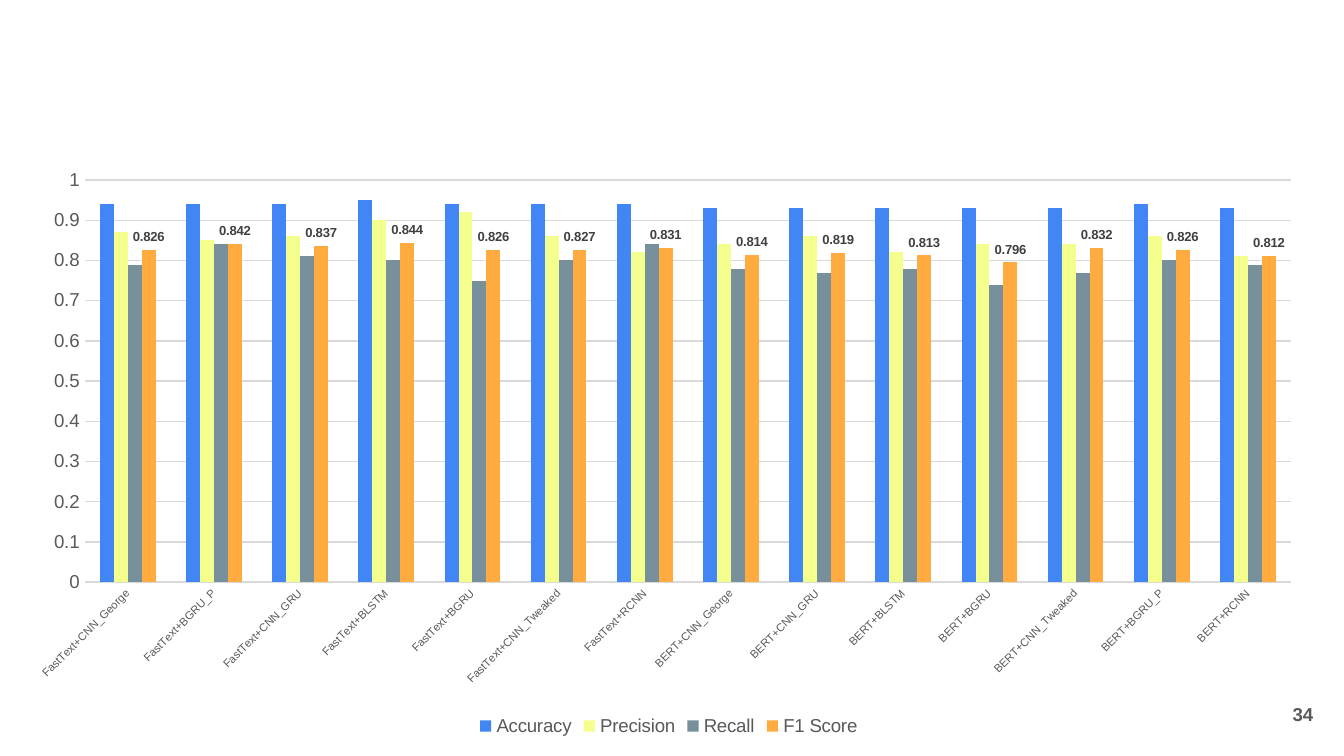
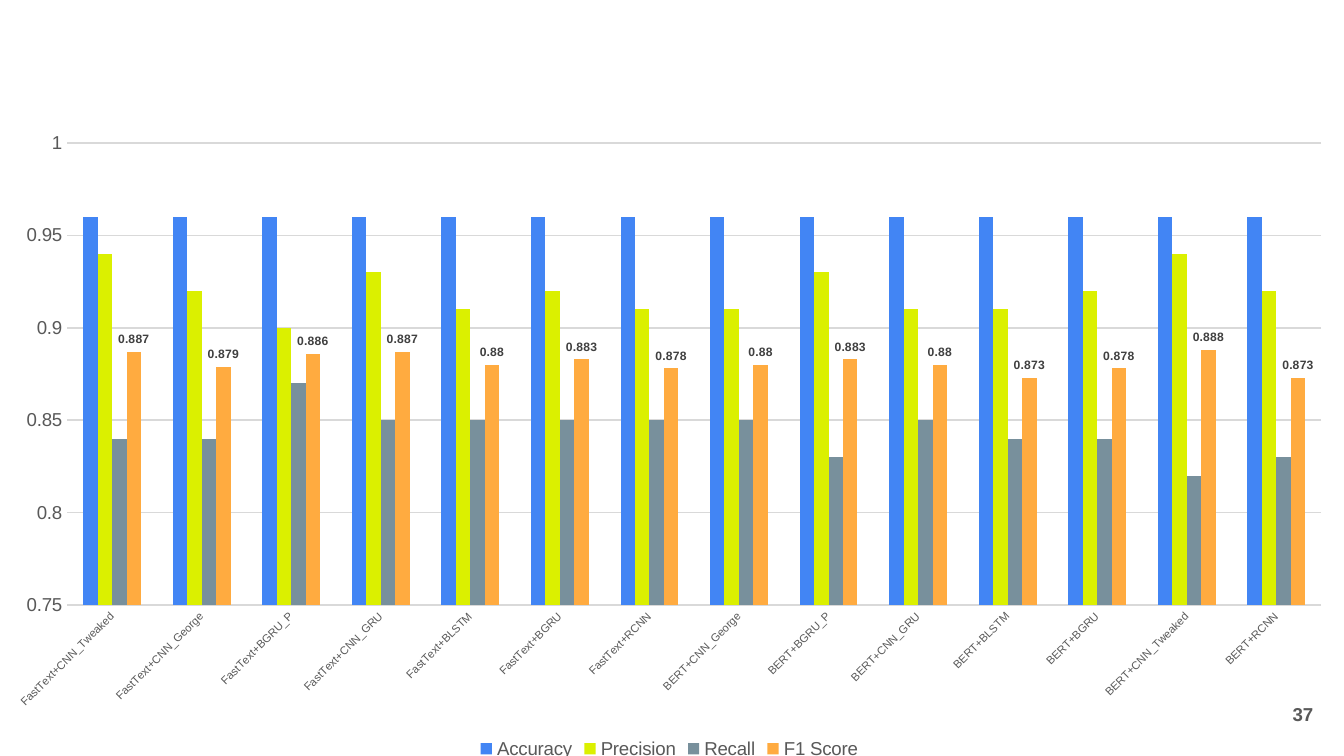
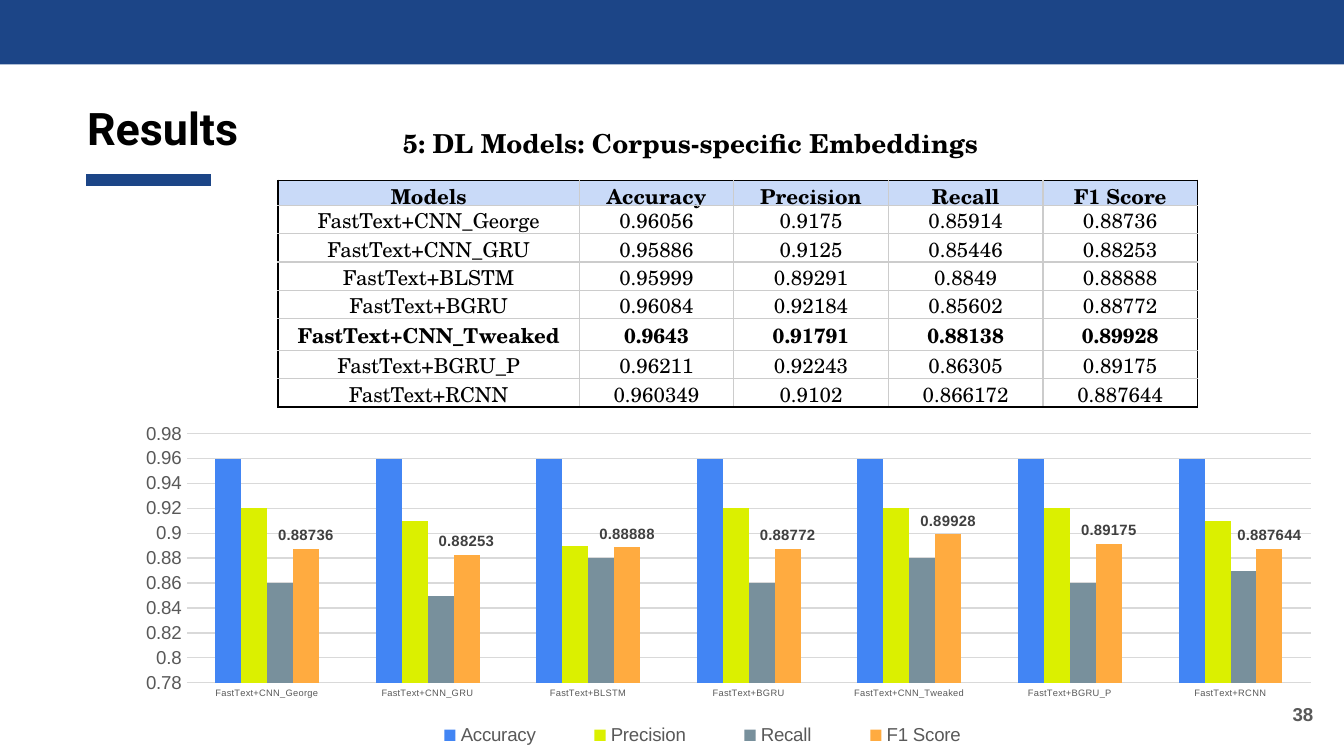
from lxml import etree
from pptx import Presentation
from pptx.chart.data import CategoryChartData
from pptx.dml.color import RGBColor
from pptx.enum import chart as ch, shapes, text
from pptx.oxml import parse_xml
from pptx.oxml.ns import nsdecls, qn
from pptx.util import Inches, Pt

HUES = {
    "navy": "1C4587", "head": "C9DAF8", "white": "FFFFFF", "black": "000000",
    "grid": "D9D9D9", "edge": "CCCCCC", "gray": "595959", "label": "404040",
    "blue": "4285F4", "pale": "F5FF8D", "lime": "DBF000", "slate": "78909C",
    "orange": "FFAB40",
}
SANS, TITLE, SERIF = "Arial", "Roboto", "TeX Gyre Schola"
SCORES = ["Accuracy", "Precision", "Recall", "F1 Score"]

# Slide 1: scores by model
MIXED = {
    "FastText+CNN_George": (0.94, 0.87, 0.79, 0.826),
    "FastText+BGRU_P": (0.94, 0.85, 0.84, 0.842),
    "FastText+CNN_GRU": (0.94, 0.86, 0.81, 0.837),
    "FastText+BLSTM": (0.95, 0.9, 0.8, 0.844),
    "FastText+BGRU": (0.94, 0.92, 0.75, 0.826),
    "FastText+CNN_Tweaked": (0.94, 0.86, 0.8, 0.827),
    "FastText+RCNN": (0.94, 0.82, 0.84, 0.831),
    "BERT+CNN_George": (0.93, 0.84, 0.78, 0.814),
    "BERT+CNN_GRU": (0.93, 0.86, 0.77, 0.819),
    "BERT+BLSTM": (0.93, 0.82, 0.78, 0.813),
    "BERT+BGRU": (0.93, 0.84, 0.74, 0.796),
    "BERT+CNN_Tweaked": (0.93, 0.84, 0.77, 0.832),
    "BERT+BGRU_P": (0.94, 0.86, 0.8, 0.826),
    "BERT+RCNN": (0.93, 0.81, 0.79, 0.812),
}

# Slide 2: scores by model
TUNED = {
    "FastText+CNN_Tweaked": (0.96, 0.94, 0.84, 0.887),
    "FastText+CNN_George": (0.96, 0.92, 0.84, 0.879),
    "FastText+BGRU_P": (0.96, 0.9, 0.87, 0.886),
    "FastText+CNN_GRU": (0.96, 0.93, 0.85, 0.887),
    "FastText+BLSTM": (0.96, 0.91, 0.85, 0.88),
    "FastText+BGRU": (0.96, 0.92, 0.85, 0.883),
    "FastText+RCNN": (0.96, 0.91, 0.85, 0.878),
    "BERT+CNN_George": (0.96, 0.91, 0.85, 0.88),
    "BERT+BGRU_P": (0.96, 0.93, 0.83, 0.883),
    "BERT+CNN_GRU": (0.96, 0.91, 0.85, 0.88),
    "BERT+BLSTM": (0.96, 0.91, 0.84, 0.873),
    "BERT+BGRU": (0.96, 0.92, 0.84, 0.878),
    "BERT+CNN_Tweaked": (0.96, 0.94, 0.82, 0.888),
    "BERT+RCNN": (0.96, 0.92, 0.83, 0.873),
}

# Slide 3: one source for both table and chart
CORPUS = {
    "FastText+CNN_George": (0.96056, 0.9175, 0.85914, 0.88736),
    "FastText+CNN_GRU": (0.95886, 0.9125, 0.85446, 0.88253),
    "FastText+BLSTM": (0.95999, 0.89291, 0.8849, 0.88888),
    "FastText+BGRU": (0.96084, 0.92184, 0.85602, 0.88772),
    "FastText+CNN_Tweaked": (0.9643, 0.91791, 0.88138, 0.89928),
    "FastText+BGRU_P": (0.96211, 0.92243, 0.86305, 0.89175),
    "FastText+RCNN": (0.960349, 0.9102, 0.866172, 0.887644),
}
BEST = "FastText+CNN_Tweaked"


def hue(name):
    return RGBColor.from_string(HUES[name])


def style(font, size, color="gray", bold=False, face=SANS):
    font.name, font.size, font.bold = face, Pt(size), bold
    font.color.rgb = hue(color)


def write(frame, words, align=text.PP_ALIGN.LEFT, anchor=text.MSO_ANCHOR.TOP,
          inset=(0.1, 0.1), **look):
    frame.word_wrap = True
    frame.vertical_anchor = anchor
    frame.margin_left = frame.margin_right = Inches(inset[0])
    frame.margin_top = frame.margin_bottom = Inches(inset[1])
    para = frame.paragraphs[0]
    para.alignment = align
    run = para.add_run()
    run.text = words
    style(run.font, **look)


def label(slide, box, words, **look):
    frame = slide.shapes.add_textbox(*map(Inches, box)).text_frame
    write(frame, words, **look)
    return frame


def number(slide, value):
    label(slide, (9.27, 5.1, 0.6, 0.43), str(value), size=10, bold=True,
          align=text.PP_ALIGN.RIGHT, anchor=text.MSO_ANCHOR.MIDDLE)


def layout(parent, index, box, inner=False):
    """Fix the place of a chart part as shares of the chart."""
    for old in parent.findall(qn("c:layout")):
        parent.remove(old)
    target = '<c:layoutTarget val="inner"/>' if inner else ""
    modes = "".join(f'<c:{k}Mode val="edge"/>' for k in "xy")
    sizes = "".join(f'<c:{k} val="{v}"/>' for k, v in zip("xywh", box))
    parent.insert(index, parse_xml(
        f'<c:layout {nsdecls("c")}><c:manualLayout>{target}{modes}{sizes}'
        "</c:manualLayout></c:layout>"))


def bars(slide, box, rows, plot, scale, tint="lime", small=6, tag=7,
         turn=None, key=None):
    data = CategoryChartData()
    data.categories = list(rows)
    for name, vals in zip(SCORES, zip(*rows.values())):
        # Only the labelled series keeps its full digits
        data.add_series(name, vals if name == SCORES[-1]
                        else [round(v, 2) for v in vals])
    chart = slide.shapes.add_chart(
        ch.XL_CHART_TYPE.COLUMN_CLUSTERED, *map(Inches, box), data).chart
    style(chart.font, 10, "black")
    chart.has_title = False
    layout(chart._chartSpace.chart.plotArea, 0, plot, inner=True)

    # Columns
    group = chart.plots[0]
    group.gap_width, group.overlap, group.vary_by_categories = 219, 0, False
    for series, color in zip(group.series, ("blue", tint, "slate", "orange")):
        series.format.fill.solid()
        series.format.fill.fore_color.rgb = hue(color)
        series.invert_if_negative = False
    tags = group.series[-1].data_labels
    tags.show_value = True
    tags.position = ch.XL_LABEL_POSITION.OUTSIDE_END
    style(tags.font, tag, "label", True)

    # Axes
    cat, val = chart.category_axis, chart.value_axis
    for axis, size in ((cat, small), (val, 10)):
        axis.major_tick_mark = axis.minor_tick_mark = ch.XL_TICK_MARK.NONE
        style(axis.tick_labels.font, size)
    val.minimum_scale, val.maximum_scale, val.major_unit = scale
    val.format.line.fill.background()
    for line in (cat.format.line, val.major_gridlines.format.line):
        line.color.rgb, line.width = hue("grid"), Pt(0.75)
    if turn:
        body = cat._element.find(qn("c:txPr")).find(qn("a:bodyPr"))
        body.set("rot", str(turn * 60000))
        body.set("vert", "horz")

    # Legend
    chart.has_legend = True
    chart.legend.position = ch.XL_LEGEND_POSITION.BOTTOM
    chart.legend.include_in_layout = False
    style(chart.legend.font, 10)
    if key:
        layout(chart.legend._element, 1, key)


def edge(cell, side, color, width):
    line = etree.SubElement(cell._tc.get_or_add_tcPr(), qn(f"a:ln{side}"),
                            w=str(Pt(width)))
    fill = etree.SubElement(line, qn("a:solidFill"))
    etree.SubElement(fill, qn("a:srgbClr"), val=HUES[color])


def paint(cell, color):
    if color:
        cell.fill.solid()
        cell.fill.fore_color.rgb = hue(color)
    else:
        cell.fill.background()


def grid(slide, left, top, rows):
    lines = [["Models", *SCORES]]
    lines += [[name, *map(str, vals)] for name, vals in rows.items()]
    wide = [2.24] + [1.15] * len(SCORES)
    high = [0.19] + [0.24 if name == BEST else 0.21 for name in rows]
    table = slide.shapes.add_table(
        len(high), len(wide),
        *map(Inches, (left, top, sum(wide), sum(high)))).table
    table.first_row = table.horz_banding = False
    for col, width in zip(table.columns, wide):
        col.width = Inches(width)
    for r, line in enumerate(lines):
        table.rows[r].height = Inches(high[r])
        last = r == len(high) - 1
        for c, words in enumerate(line):
            cell = table.cell(r, c)
            outer = {"L": c == 0, "R": c == len(wide) - 1,
                     "T": r == 0, "B": last}
            for side, out in outer.items():
                edge(cell, side, "black" if out else "edge",
                     1 if out and side == "L" else 0.75)
            paint(cell, "head" if r == 0 else "white" if last and c else None)
            write(cell.text_frame, words, size=11, color="black", face=SERIF,
                  bold=r == 0 or line[0] == BEST, inset=(0.02, 0),
                  align=text.PP_ALIGN.CENTER)
            cell.vertical_anchor = text.MSO_ANCHOR.BOTTOM
            cell.margin_left = cell.margin_right = Inches(0.02)
            cell.margin_top = cell.margin_bottom = 0


def header(slide, title):
    # Top band
    band = slide.shapes.add_shape(shapes.MSO_SHAPE.RECTANGLE, 0, 0,
                                  Inches(10), Inches(0.48))
    band.shadow.inherit = False
    band.fill.solid()
    band.fill.fore_color.rgb = hue("navy")
    band.line.fill.background()
    # Title and its rule
    rule = slide.shapes.add_connector(
        shapes.MSO_CONNECTOR.STRAIGHT, *map(Inches, (1.57, 1.34, 0.64, 1.34)))
    rule.line.color.rgb, rule.line.width = hue("navy"), Pt(6)
    etree.SubElement(rule._element.spPr, qn("a:effectLst"))
    label(slide, (0.55, 0.65, 1.58, 0.57), title, size=24, color="black",
          bold=True, face=TITLE)


def results(slide):
    header(slide, "Results")
    name = label(slide, (2.83, 0.9, 4.62, 0.34),
                 "5: DL Models: Corpus-specific Embeddings", size=14,
                 color="black", bold=True, face=SERIF, inset=(0.1, 0.05),
                 align=text.PP_ALIGN.CENTER)
    name.auto_size = text.MSO_AUTO_SIZE.SHAPE_TO_FIT_TEXT
    grid(slide, 2.07, 1.34, CORPUS)
    bars(slide, (0.16, 3.14, 9.84, 3.79), CORPUS, (0.125, 0.023, 0.85, 0.489),
         (0.78, 0.98, 0.02), small=5, tag=8, key=(0.28, 0.58, 0.47, 0.07))


def main():
    deck = Presentation()
    deck.slide_width = Inches(10)
    deck.slide_height = deck.slide_width * 9 // 16
    first, second, third = (deck.slides.add_slide(deck.slide_layouts[6])
                            for _ in range(3))
    bars(first, (0.19, 0.77, 9.57, 4.75), MIXED, (0.046, 0.12, 0.938, 0.63),
         (0, 1, 0.1), tint="pale", turn=-45)
    bars(second, (0.08, 0.09, 9.8, 5.6), TUNED, (0.043, 0.174, 0.952, 0.614),
         (0.75, 1, 0.05), tag=6.5, turn=-45)
    results(third)
    for slide, value in ((first, 34), (second, 37), (third, 38)):
        number(slide, value)
    deck.save("out.pptx")


if __name__ == "__main__":
    main()
